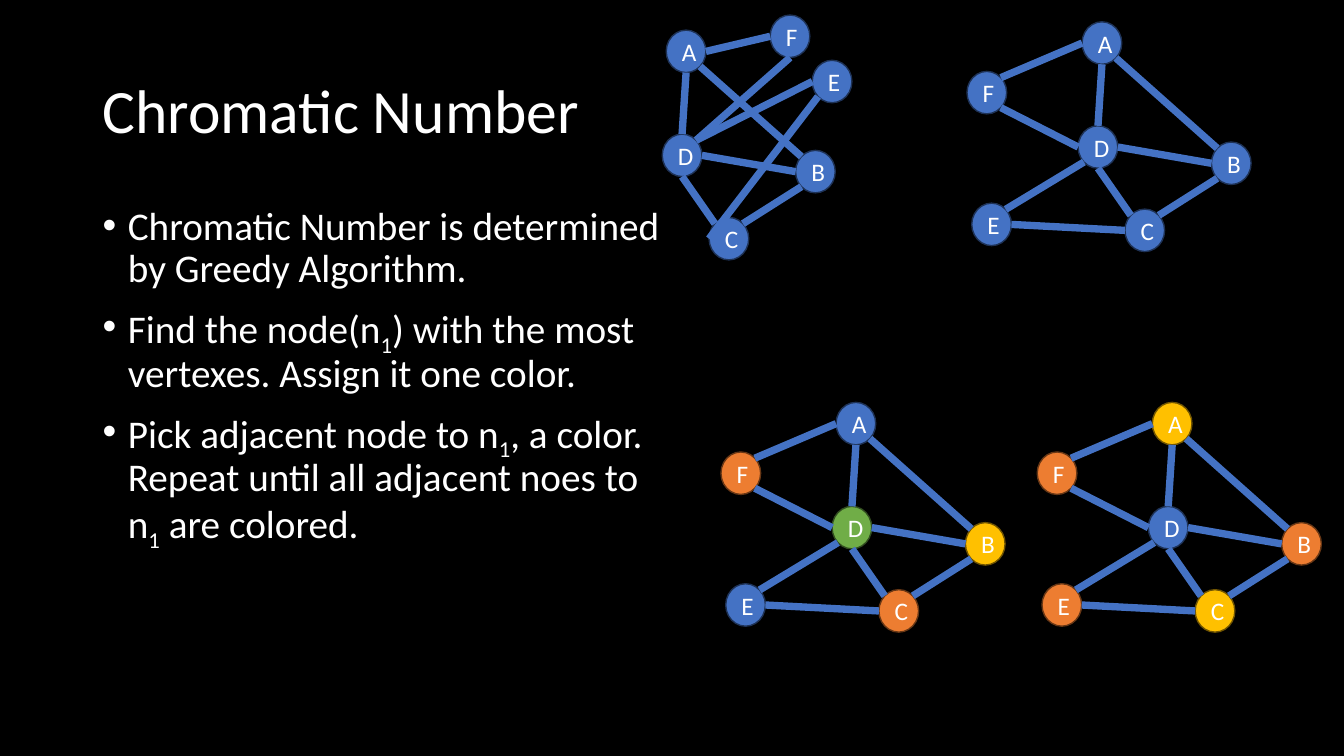
from math import cos, pi, sin

from lxml import etree
from pptx import Presentation
from pptx.dml.color import RGBColor
from pptx.enum import shapes, text
from pptx.oxml import ns
from pptx.util import Cm, Pt

COLORS = {
    "black": "000000", "white": "FFFFFF",
    "blue": "4472C4", "orange": "ED7D31", "gold": "FFC000", "green": "70AD47",
}
OUTLINES = {"blue": "1E3256", "orange": "683715", "gold": "705400", "green": "314C1F"}
FONT = "Calibri"
NODE_W, NODE_H = 1.0, 1.07

# Node corners in cm, measured from node A
SHARED_NODES = {"A": (0, 0), "B": (3.26, 3.03), "C": (1.08, 4.72), "D": (-0.1, 2.62)}
CROSSED_NODES = {**SHARED_NODES, "E": (3.68, 0.76), "F": (2.62, -0.38)}
PLANAR_NODES = {**SHARED_NODES, "E": (-2.78, 4.57), "F": (-2.9, 1.25)}

# Each end is a node and a site on its rim: 0 top, then eighths counter-clockwise
SHARED_EDGES = ["A5 B1", "A4 D0", "D4 C1", "D6 B2", "B3 C7"]
CROSSED_EDGES = SHARED_EDGES + ["A6 F2", "E3 C2", "E2 D7", "F4 D7"]
PLANAR_EDGES = SHARED_EDGES + ["A2 F7", "E6 C2", "E7 D3", "F5 D2"]

# Runs of each item; every second run is a subscript
STEPS = [
    ["Chromatic Number is determined by Greedy Algorithm."],
    ["Find the node(n", "1", ") with the most vertexes. Assign it one color."],
    ["Pick adjacent node to n", "1", ", a color. Repeat until all adjacent noes to n",
     "1", " are colored."],
]


def rgb(name):
    return RGBColor.from_string(COLORS[name])


def add_run(paragraph, words, size):
    run = paragraph.add_run()
    run.text = words
    run.font.name = FONT
    run.font.size = Pt(size)
    run.font.color.rgb = rgb("white")
    return run


def place(placeholder, left, top, width, height):
    placeholder.left, placeholder.top = Cm(left), Cm(top)
    placeholder.width, placeholder.height = Cm(width), Cm(height)
    placeholder.text_frame.auto_size = text.MSO_AUTO_SIZE.NONE
    placeholder.text_frame.word_wrap = True


def fill_title(title):
    place(title, 2.33, 1.01, 29.21, 3.68)
    title.text_frame.vertical_anchor = text.MSO_ANCHOR.MIDDLE
    heading = title.text_frame.paragraphs[0]
    heading.alignment = text.PP_ALIGN.LEFT
    heading.line_spacing = 0.9
    add_run(heading, "Chromatic Number", 44)


def add_bullet(paragraph):
    properties = paragraph._p.get_or_add_pPr()
    properties.set("marL", str(Cm(0.64)))
    properties.set("indent", str(-Cm(0.64)))
    etree.SubElement(properties, ns.qn("a:buFont"), typeface="Arial")
    etree.SubElement(properties, ns.qn("a:buChar"), char="•")


def fill_steps(body):
    place(body, 2.33, 5.07, 14.61, 12.09)
    frame = body.text_frame
    for number, parts in enumerate(STEPS):
        step = frame.add_paragraph() if number else frame.paragraphs[0]
        add_bullet(step)
        step.line_spacing = 0.9
        step.space_before = Pt(10 if number else 0)
        for position, words in enumerate(parts):
            run = add_run(step, words, 28)
            if position % 2:
                run._r.get_or_add_rPr().set("baseline", "-25000")


def add_node(slide, label, left, top, color):
    node = slide.shapes.add_shape(
        shapes.MSO_SHAPE.OVAL, Cm(left), Cm(top), Cm(NODE_W), Cm(NODE_H))
    node.shadow.inherit = False
    node.fill.solid()
    node.fill.fore_color.rgb = rgb(color)
    node.line.color.rgb = RGBColor.from_string(OUTLINES[color])
    node.line.width = Pt(1)
    node.text_frame.vertical_anchor = text.MSO_ANCHOR.MIDDLE
    letter = node.text_frame.paragraphs[0]
    letter.alignment = text.PP_ALIGN.CENTER
    add_run(letter, label, 18)


def rim_point(corner, site):
    angle = site * pi / 4
    return (Cm(corner[0] + NODE_W / 2 * (1 - sin(angle))),
            Cm(corner[1] + NODE_H / 2 * (1 - cos(angle))))


def add_edge(slide, start, end):
    edge = slide.shapes.add_connector(shapes.MSO_CONNECTOR.STRAIGHT, *start, *end)
    edge.line.color.rgb = rgb("blue")
    edge.line.width = Pt(5.25)
    etree.SubElement(edge._element.spPr, ns.qn("a:effectLst"))


def add_graph(slide, left, top, nodes, edges, colors):
    """Draw a graph with node A at left, top; nodes missing from colors are blue."""
    corners = {label: (left + x, top + y) for label, (x, y) in nodes.items()}
    for label, corner in corners.items():
        add_node(slide, label, *corner, colors.get(label, "blue"))
    for edge in edges:
        start, end = [rim_point(corners[label], int(site)) for label, site in edge.split()]
        add_edge(slide, start, end)


def main():
    deck = Presentation()
    deck.slide_width, deck.slide_height = Cm(33.87), Cm(19.05)
    slide = deck.slides.add_slide(deck.slide_layouts[1])
    slide.background.fill.solid()
    slide.background.fill.fore_color.rgb = rgb("black")

    fill_title(slide.shapes.title)
    fill_steps(slide.placeholders[1])

    add_graph(slide, 16.79, 0.76, CROSSED_NODES, CROSSED_EDGES, {})
    add_graph(slide, 21.07, 10.14, PLANAR_NODES, PLANAR_EDGES,
              {"B": "gold", "C": "orange", "D": "green", "F": "orange"})
    add_graph(slide, 27.27, 0.55, PLANAR_NODES, PLANAR_EDGES, {})
    add_graph(slide, 29.04, 10.14, PLANAR_NODES, PLANAR_EDGES,
              {"A": "gold", "B": "orange", "C": "gold", "E": "orange", "F": "orange"})
    deck.save("out.pptx")


if __name__ == "__main__":
    main()
